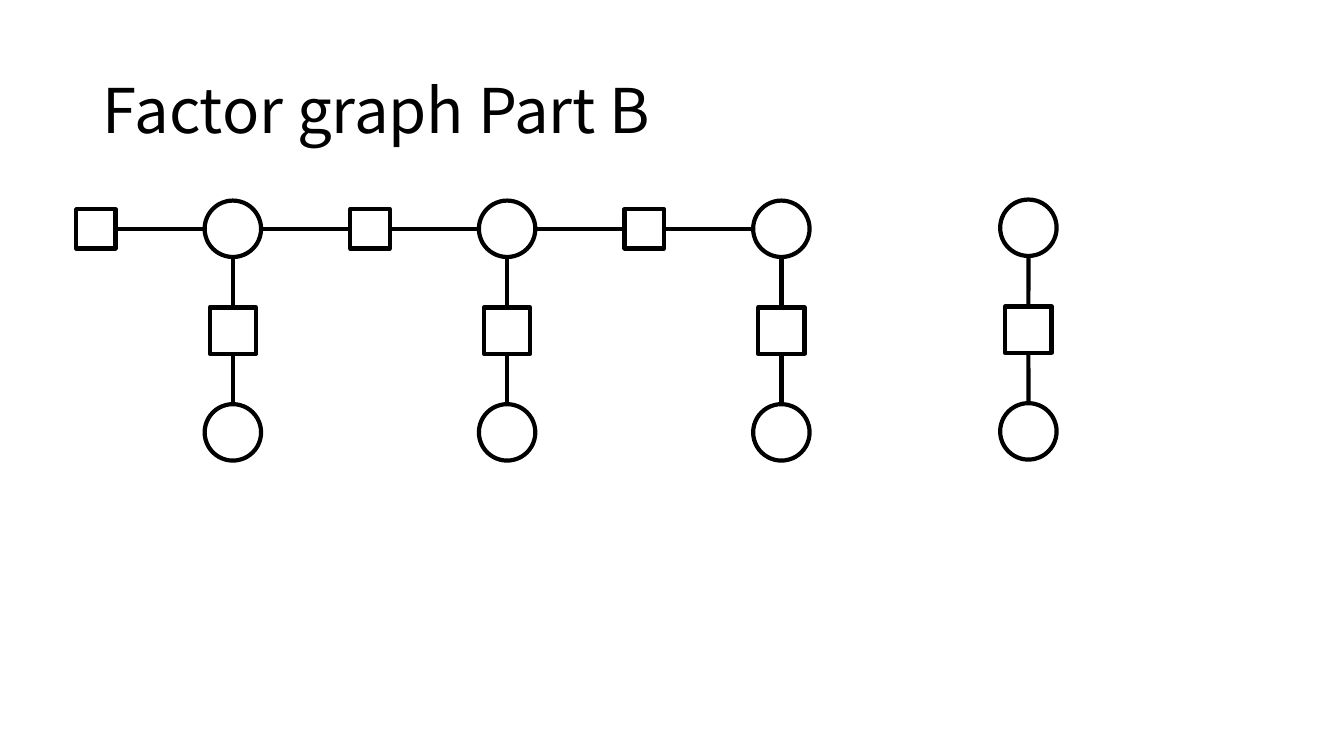
import pptx
import pptx.util
import pptx.dml.color
import pptx.enum.shapes
import pptx.enum.text
import pptx.oxml
import pptx.oxml.ns

Inches = pptx.util.Inches
Pt = pptx.util.Pt
SHAPES = pptx.enum.shapes.MSO_SHAPE
BLACK = pptx.dml.color.RGBColor(0, 0, 0)
FONT = "Noto Sans CJK SC"

# Sizes of the nodes and the gaps between their centres
CIRCLE, FACTOR, LINK_FACTOR = 0.56, 0.46, 0.39
ROW_STEP, COLUMN_STEP = 1.01, 2.72
TOP, LEFT, BOTTOM, RIGHT = range(4)


def add_title(page, left, top, width, height):
    box = page.shapes.add_textbox(Inches(left), Inches(top), Inches(width), Inches(height))
    frame = box.text_frame
    frame.word_wrap = True
    frame.vertical_anchor = pptx.enum.text.MSO_ANCHOR.MIDDLE
    para = frame.paragraphs[0]
    para.text = "Factor graph Part B"
    para.line_spacing = 0.9
    para.font.name = FONT
    para.font.size = Pt(44)
    para.font.color.rgb = BLACK


def add_node(page, kind, x, y, size):
    """Add an outlined node centred on x, y."""
    node = page.shapes.add_shape(
        kind, Inches(x - size / 2), Inches(y - size / 2), Inches(size), Inches(size))
    node.shadow.inherit = False
    node.fill.background()
    node.line.color.rgb = BLACK
    node.line.width = Pt(3)
    return node


def add_edge(page, factor, side, x, y):
    """Join one side of a square factor to the point x, y on a circle."""
    edge = page.shapes.add_connector(
        pptx.enum.shapes.MSO_CONNECTOR.STRAIGHT, Inches(x), Inches(y), Inches(x), Inches(y))
    edge.begin_connect(factor, side)
    edge.line.color.rgb = BLACK
    edge.line.width = Pt(3)
    properties = edge._element.spPr
    properties.append(pptx.oxml.parse_xml(
        "<a:effectLst %s/>" % pptx.oxml.ns.nsdecls("a")))


def add_column(page, x, y):
    """Circle, factor and circle, downwards from the centre x, y."""
    middle, last = y + ROW_STEP, y + 2 * ROW_STEP
    for row in (y, last):
        add_node(page, SHAPES.OVAL, x, row, CIRCLE)
    factor = add_node(page, SHAPES.RECTANGLE, x, middle, FACTOR)
    add_edge(page, factor, TOP, x, y + CIRCLE / 2)
    add_edge(page, factor, BOTTOM, x, last - CIRCLE / 2)


def add_chain(page, x, y, count):
    """Columns in a row, each with a factor to the left of its top circle."""
    for index in range(count):
        column = x + index * COLUMN_STEP
        add_column(page, column, y)
        link_x = column - COLUMN_STEP / 2
        link = add_node(page, SHAPES.RECTANGLE, link_x, y, LINK_FACTOR)
        add_edge(page, link, RIGHT, column - CIRCLE / 2, y)
        if index:
            add_edge(page, link, LEFT, column - COLUMN_STEP + CIRCLE / 2, y)


def main():
    deck = pptx.Presentation()
    deck.slide_width, deck.slide_height = Inches(13.33), Inches(7.5)
    page = deck.slides.add_slide(deck.slide_layouts[6])
    add_title(page, 0.92, 0.4, 12.41, 1.45)
    add_chain(page, 2.31, 2.27, 3)
    # Separate column on the right
    add_column(page, 10.2, 2.26)
    deck.save("out.pptx")


if __name__ == "__main__":
    main()
